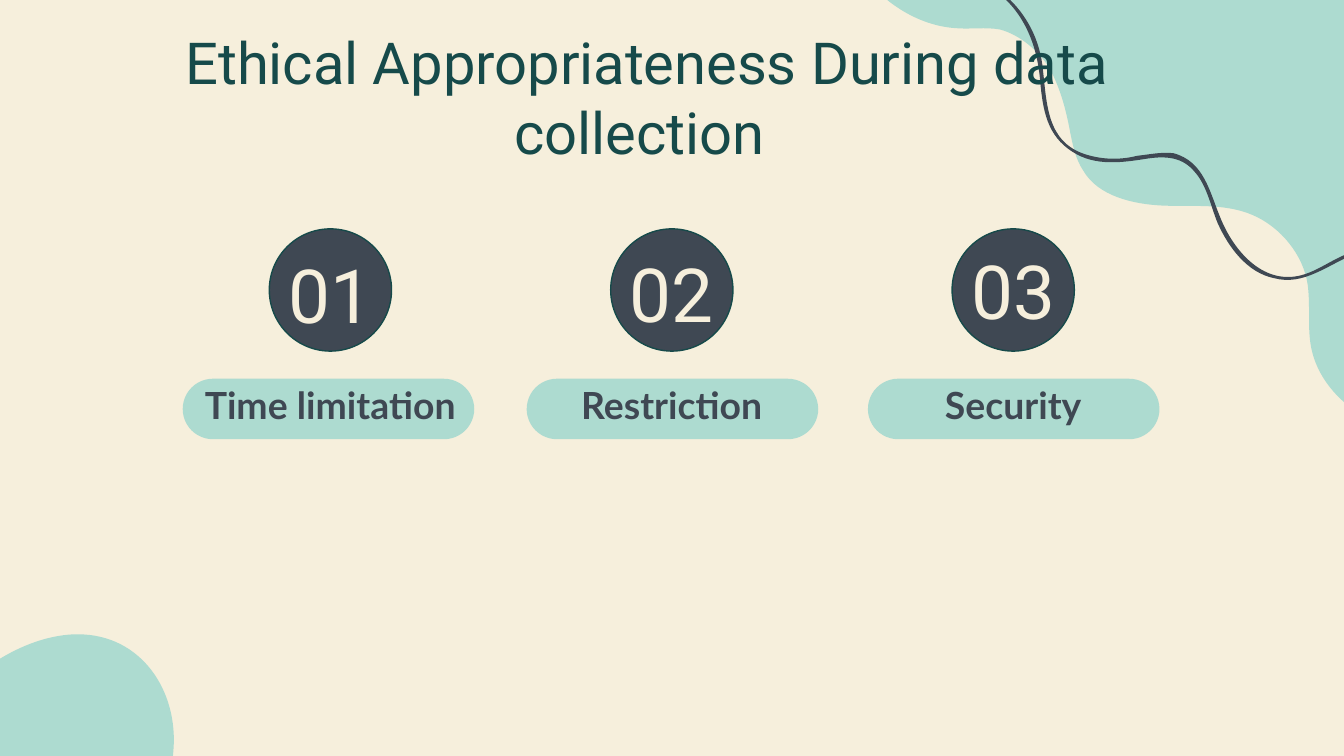
import lxml.etree
import pptx
import pptx.util
import pptx.dml.color
import pptx.enum.shapes
import pptx.enum.text
import pptx.oxml.ns

Pt = pptx.util.Pt
qn = pptx.oxml.ns.qn
SHAPE = pptx.enum.shapes.MSO_SHAPE
ANCHOR = pptx.enum.text.MSO_ANCHOR

CREAM, MINT, SLATE, TEAL = "F6EFDC", "ADDBD0", "3F4853", "164A4A"
UNIT = 0.72  # points to one outline unit

# Outlines: a start point, then curves (three points) and lines (one point).
CORNER = [
    (58, 472),
    [(57, 472), (56, 472), (55, 472)], [(33, 473), (12, 482), (-6, 494)],
    [(-48, 521), (-77, 567), (-88, 616)], [(104, 616)],
    [(118, 598), (128, 578), (129, 559)], [(133, 514), (105, 472), (58, 472)],
]
CLOUD = [
    (975, 255),
    [(973, 241), (975, 227), (973, 212)], [(970, 190), (953, 169), (932, 160)],
    [(911, 151), (887, 154), (865, 153)], [(843, 152), (817, 146), (806, 127)],
    [(800, 118), (798, 107), (796, 97)], [(793, 81), (789, 66), (781, 51)],
    [(773, 38), (759, 26), (744, 22)], [(733, 20), (722, 22), (711, 21)],
    [(682, 19), (656, 1), (639, -22)], [(638, -23), (637, -24), (636, -25)],
    [(644, -39), (652, -55), (667, -60)], [(693, -70), (719, -44), (747, -42)],
    [(769, -40), (789, -53), (808, -65)], [(851, -91), (904, -110), (951, -91)],
    [(963, -87), (974, -80), (983, -72)], [(1001, -56), (1015, -35), (1022, -12)],
    [(1033, 25), (1028, 66), (1035, 103)], [(1035, 317)],
    [(1034, 317), (1033, 317), (1032, 317)], [(1003, 308), (979, 284), (975, 255)],
]
WAVE = [
    (1092, 189),
    [(1074, 181), (1053, 178), (1033, 180)], [(1023, 182), (1014, 184), (1005, 188)],
    [(993, 192), (983, 200), (971, 204)], [(941, 214), (918, 187), (908, 162)],
    [(900, 143), (896, 120), (873, 114)], [(864, 113), (855, 115), (846, 116)],
    [(834, 119), (821, 119), (808, 115)], [(779, 106), (779, 78), (776, 52)],
    [(772, 8), (736, -24), (692, -24)], [(683, -25), (675, -23), (666, -20)],
    [(665, -20), (666, -17), (667, -18)], [(692, -26), (718, -22), (739, -8)],
    [(762, 8), (772, 34), (774, 61)], [(776, 82), (779, 101), (798, 113)],
    [(815, 124), (835, 121), (854, 118)], [(868, 116), (880, 117), (889, 128)],
    [(898, 138), (901, 154), (906, 166)], [(914, 184), (928, 203), (948, 207)],
    [(970, 213), (988, 197), (1008, 189)], [(1031, 181), (1056, 180), (1079, 187)],
    [(1083, 188), (1087, 189), (1091, 191)], [(1093, 192), (1094, 189), (1092, 189)],
]


def color(code):
    return pptx.dml.color.RGBColor.from_string(code)


def paint(shape, fill, line=None):
    shape.shadow.inherit = False
    shape.fill.solid()
    shape.fill.fore_color.rgb = color(fill)
    if line:
        shape.line.color.rgb = color(line)
        shape.line.width = Pt(0.75)
    else:
        shape.line.fill.background()


def bend(blob, parts):
    """Merge each run of three line nodes that stands for a curve."""
    nodes = iter(list(blob._element.iter(qn("a:lnTo"))))
    for part in parts:
        group = [next(nodes) for _ in part]
        if len(group) == 3:
            curve = lxml.etree.Element(qn("a:cubicBezTo"))
            group[0].addprevious(curve)
            for node in group:
                curve.append(node[0])
                node.getparent().remove(node)


def add_blob(slide, outline, fill):
    start, *parts = outline
    pen = slide.shapes.build_freeform(*[Pt(n * UNIT) for n in start])
    pen.add_line_segments(
        [(Pt(x * UNIT), Pt(y * UNIT)) for part in parts for x, y in part])
    blob = pen.convert_to_shape()
    bend(blob, parts)
    paint(blob, fill)


def add_text(slide, text, box, size, face, ink, bold=False,
             space=1.0, anchor=ANCHOR.TOP):
    frame = slide.shapes.add_textbox(*map(Pt, box)).text_frame
    frame.word_wrap = True
    frame.vertical_anchor = anchor
    frame.margin_left = frame.margin_right = 0
    frame.margin_top = frame.margin_bottom = 0
    para = frame.paragraphs[0]
    para.text = text
    para.alignment = pptx.enum.text.PP_ALIGN.CENTER
    para.line_spacing = space
    para.font.size = Pt(size)
    para.font.name = face
    para.font.bold = bold
    para.font.color.rgb = color(ink)


def add_point(slide, box, number, label, drop, shift):
    """Place a numbered disc over a labelled pill.

    drop lowers the number and shift moves the pill sideways.
    """
    left, top, width, height = box
    disc, pill, inset = 65.5, 32.4, 4
    x = left + (width - disc) / 2
    y = top + height - pill
    shape = slide.shapes.add_shape(
        SHAPE.ROUNDED_RECTANGLE, Pt(left + shift), Pt(y), Pt(width), Pt(pill))
    shape.adjustments[0] = 0.5
    paint(shape, MINT)
    paint(slide.shapes.add_shape(
        SHAPE.OVAL, Pt(x), Pt(top), Pt(disc), Pt(disc)), SLATE, TEAL)
    add_text(slide, number, (x, top + drop, disc, disc), 40, "Roboto", CREAM,
             anchor=ANCHOR.MIDDLE)
    add_text(slide, label, (left + inset, y + 6.6, width - 2 * inset, 21.6),
             20, "Lato", SLATE, bold=True, space=0.8)


def add_decor(slide):
    add_blob(slide, CORNER, MINT)
    add_blob(slide, CLOUD, MINT)
    add_blob(slide, WAVE, SLATE)


def main():
    deck = pptx.Presentation()
    deck.slide_width, deck.slide_height = Pt(720), Pt(405)
    slide = deck.slides.add_slide(deck.slide_layouts[6])
    slide.background.fill.solid()
    slide.background.fill.fore_color.rgb = color(CREAM)

    add_decor(slide)
    add_text(slide, "Ethical Appropriateness During data collection ",
             (42.5, 14.4, 607.7, 36), 31, "Roboto", TEAL)
    points = [("01", "Time limitation", 2, -1), ("02", "Restriction", 1.5, 0.4),
              ("03", "Security", 0, 0.3)]
    for i, point in enumerate(points):
        add_point(slide, (98.9 + 182.9 * i, 122.6, 156.2, 112.7), *point)
    deck.save("out.pptx")


if __name__ == "__main__":
    main()
